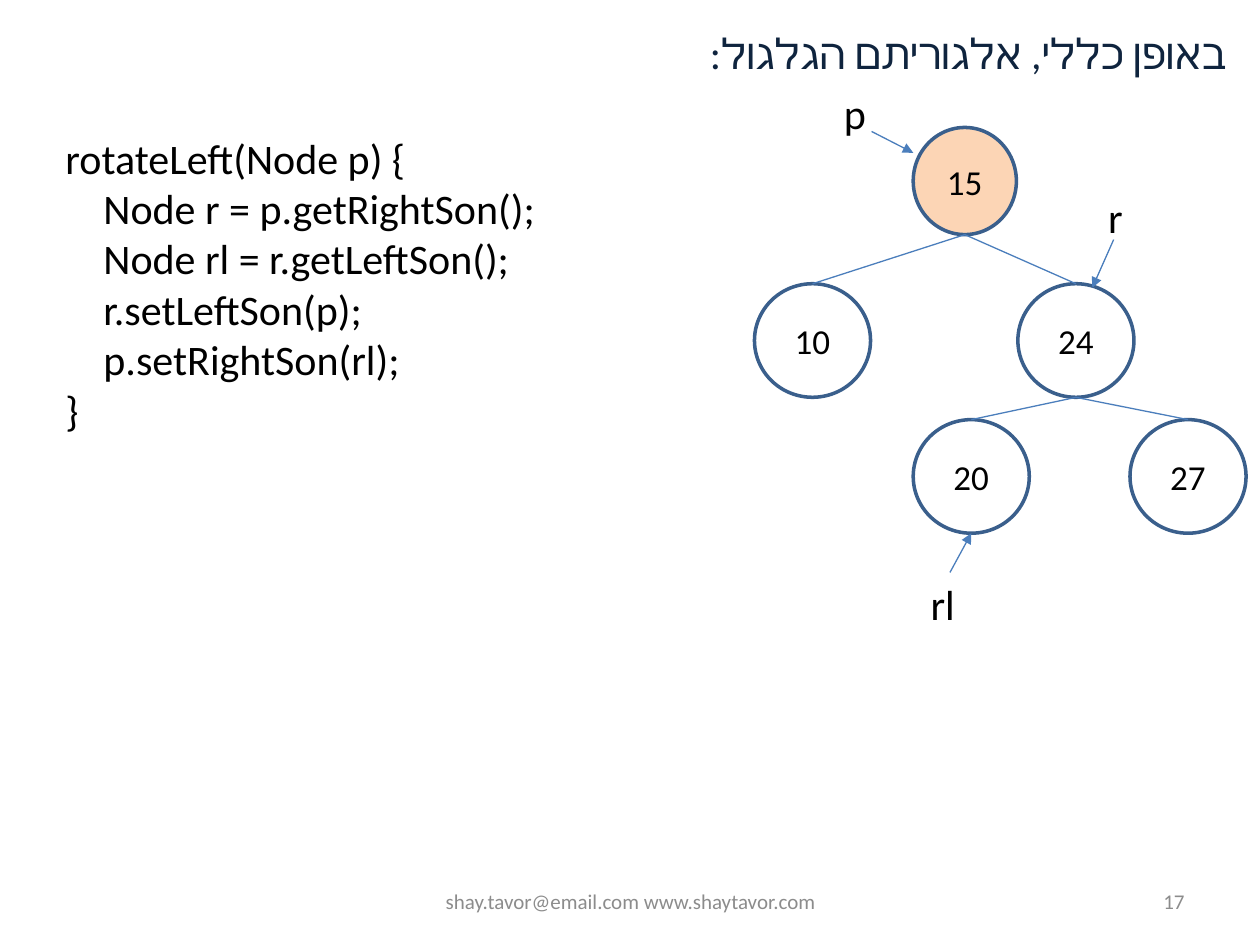
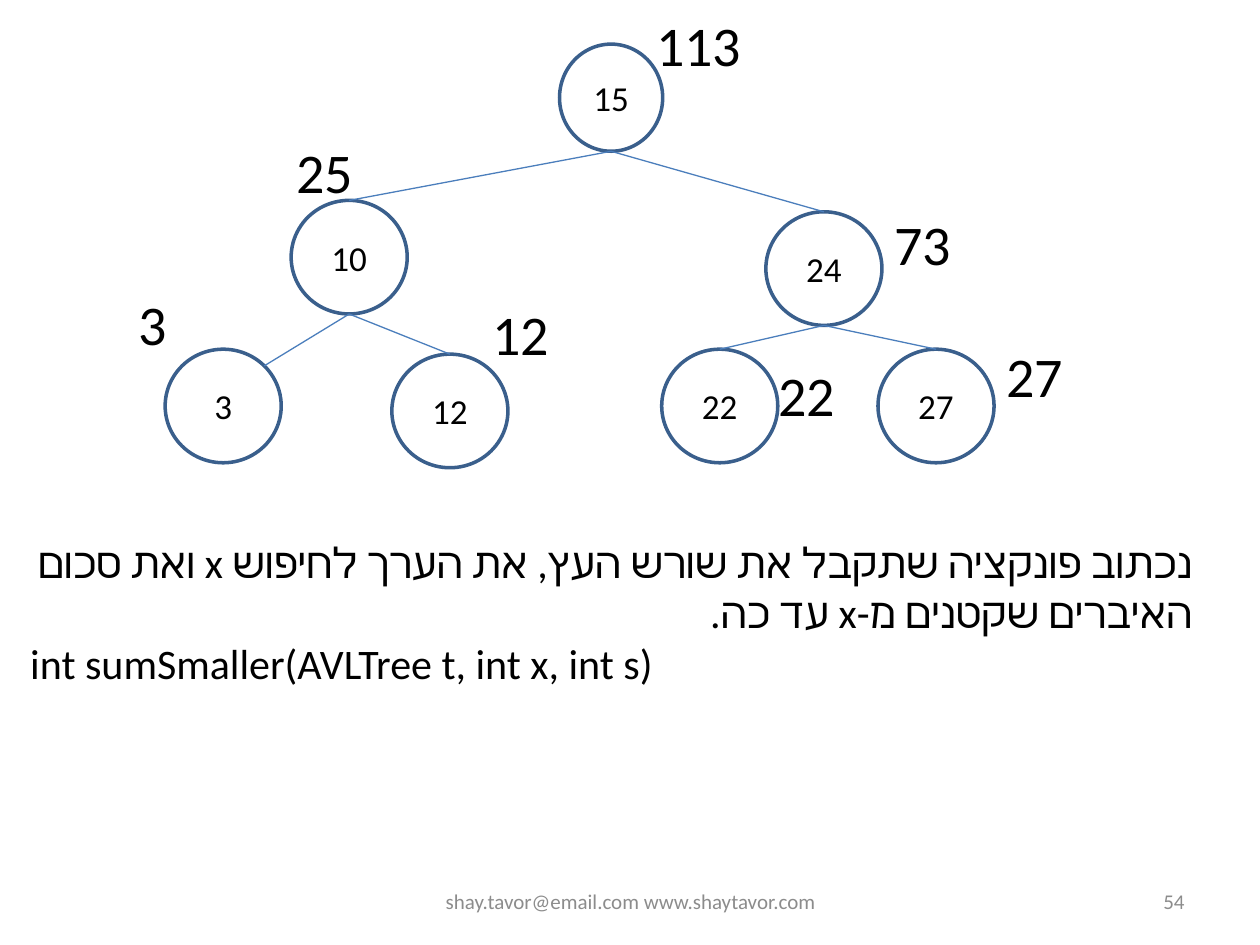
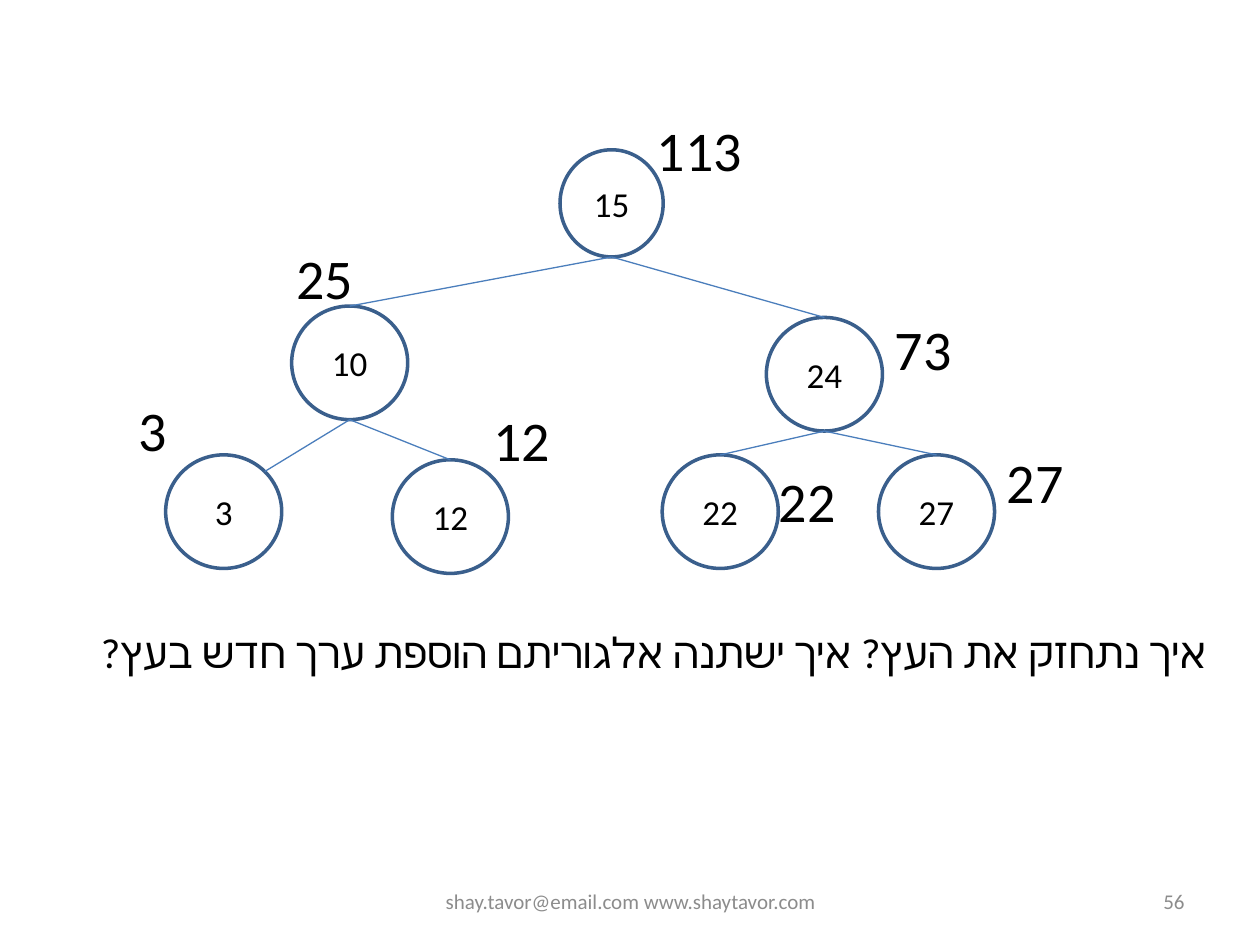
from collections import namedtuple
from math import cos, radians, sin

from lxml.etree import SubElement
from pptx import Presentation
from pptx.dml.color import RGBColor
from pptx.enum.shapes import MSO_CONNECTOR as CONNECTOR, MSO_SHAPE as SHAPE
from pptx.enum.text import MSO_ANCHOR as ANCHOR, MSO_AUTO_SIZE as FIT, PP_ALIGN as ALIGN
from pptx.oxml.ns import qn
from pptx.util import Cm, Pt

BLACK = RGBColor(0x00, 0x00, 0x00)
WHITE = RGBColor(0xFF, 0xFF, 0xFF)
NAVY = RGBColor(0x0F, 0x24, 0x3E)
GRAY = RGBColor(0x8C, 0x8C, 0x8C)
PEACH = RGBColor(0xFC, 0xD5, 0xB5)
RIM_BLUE = RGBColor(0x3A, 0x5F, 0x8C)
EDGE_BLUE = RGBColor(0x4B, 0x7E, 0xBC)

FONT = "Calibri"
BODY = {"size": Pt(24), "color": BLACK}
TITLE = {"size": Pt(24), "color": NAVY}
NODE_TEXT = {"size": Pt(20), "color": BLACK}
SUM_TEXT = {"size": Pt(32), "color": BLACK}
FOOTER = {"size": Pt(12), "color": GRAY}

ROOT_SIZE = (2.08, 2.16)
NODE_SIZE = (2.34, 2.29)
TOP, BOTTOM, TOP_RIGHT = -90, 90, -45
LINE_HEIGHT = 1.27
SUM_HEIGHT = 1.63

Node = namedtuple("Node", "value left top size fill", defaults=(NODE_SIZE, None))
Edge = namedtuple("Edge", "parent child angle", defaults=(TOP,))
Label = namedtuple("Label", "text left top width")
Pointer = namedtuple("Pointer", "label start end")

ROTATION_NODES = [
    Node("15", 3.2, 0, ROOT_SIZE, PEACH),
    Node("24", 5.31, 3.15),
    Node("10", 0, 3.15),
    Node("27", 7.57, 5.89),
    Node("20", 3.2, 5.89),
]
ROTATION_EDGES = [Edge("15", "24"), Edge("15", "10"), Edge("24", "27"), Edge("24", "20")]
ROTATION_POINTERS = [
    Pointer(Label("p", 1.55, -0.94, 1.27), (2.36, 0.08), (3.2, 0.51)),
    Pointer(Label("r", 6.88, 1.17, 1.27), (7.24, 2.26), (6.81, 3.23)),
    Pointer(Label("rl", 3.3, 8.97, 1.27), (3.94, 8.97), (4.37, 8.18)),
]
SUM_NODES = [
    Node("15", 8.74, 0.81, ROOT_SIZE, WHITE),
    Node("24", 12.9, 4.19, NODE_SIZE, WHITE),
    Node("10", 3.33, 3.96),
    Node("27", 15.16, 6.96),
    Node("22", 10.8, 6.96),
    Node("12", 5.36, 7.06),
    Node("3", 0.79, 6.96),
]
SUM_EDGES = [
    Edge("15", "24"), Edge("15", "10"), Edge("24", "27"),
    Edge("24", "22"), Edge("10", "3", TOP_RIGHT), Edge("10", "12"),
]
SUM_LABELS = [
    Label("3", 0, 5.64, 1.7),
    Label("25", 3.18, 2.57, 2.31),
    Label("12", 7.14, 5.84, 2.18),
    Label("113", 10.44, 0, 2.46),
    Label("73", 15.24, 4.01, 2.03),
    Label("22", 12.9, 7.06, 2.11),
    Label("27", 17.5, 6.68, 2.03),
]
ROTATE_CODE = [
    "rotateLeft(Node p) {",
    "    Node r = p.getRightSon();",
    "    Node rl = r.getLeftSon();",
    "    r.setLeftSon(p);",
    "    p.setRightSon(rl);",
    "}",
]


def is_hebrew(text):
    return any("א" <= letter <= "ת" for letter in text)


def write_line(para, text, style, align=ALIGN.LEFT):
    """Write one formatted line; Hebrew runs from right to left."""
    span = para.add_run()
    span.text = text
    font = span.font
    for name, value in {"name": FONT, "size": style["size"]}.items():
        setattr(font, name, value)
    font.color.rgb = style["color"]
    para.alignment = align
    if is_hebrew(text):
        para.alignment = ALIGN.RIGHT
        para._p.get_or_add_pPr().set("rtl", "1")
        SubElement(span._r.get_or_add_rPr(), qn("a:cs"), typeface=FONT)


def add_text(page, box, lines, style, align=ALIGN.LEFT, anchor=ANCHOR.TOP, fit=FIT.SHAPE_TO_FIT_TEXT):
    frame = page.shapes.add_textbox(*map(Cm, box)).text_frame
    for name, value in {"word_wrap": True, "auto_size": fit, "vertical_anchor": anchor}.items():
        setattr(frame, name, value)
    for index, line in enumerate(lines):
        para = frame.add_paragraph() if index else frame.paragraphs[0]
        write_line(para, line, style, align)


def add_line(page, start, end, arrow=False):
    line = page.shapes.add_connector(CONNECTOR.STRAIGHT, *start, *end)
    line.line.color.rgb = EDGE_BLUE
    line.line.width = Pt(0.75)
    if arrow:
        SubElement(line.line._get_or_add_ln(), qn("a:tailEnd"), type="triangle")
    SubElement(line._element.spPr, qn("a:effectLst"))


def add_node(page, origin, node):
    left, top = origin
    box = (left + node.left, top + node.top, *node.size)
    oval = page.shapes.add_shape(SHAPE.OVAL, *map(Cm, box))
    oval.shadow.inherit = False
    if node.fill is None:
        oval.fill.background()
    else:
        oval.fill.solid()
        oval.fill.fore_color.rgb = node.fill
    oval.line.color.rgb = RIM_BLUE
    oval.line.width = Pt(2)
    oval.text_frame.vertical_anchor = ANCHOR.MIDDLE
    write_line(oval.text_frame.paragraphs[0], node.value, NODE_TEXT, ALIGN.CENTER)
    return oval


def rim_point(oval, angle):
    """Point on the oval's outline, with the angle clockwise from the right."""
    turn = radians(angle)
    return (round(oval.left + oval.width / 2 * (1 + cos(turn))),
            round(oval.top + oval.height / 2 * (1 + sin(turn))))


def add_tree(page, origin, nodes, edges):
    ovals = {node.value: add_node(page, origin, node) for node in nodes}
    for edge in edges:
        add_line(page, rim_point(ovals[edge.parent], BOTTOM), rim_point(ovals[edge.child], edge.angle))


def add_label(page, origin, label, height, style):
    left, top = origin
    add_text(page, (left + label.left, top + label.top, label.width, height), [label.text], style)


def add_pointers(page, origin, pointers):
    for pointer in pointers:
        add_label(page, origin, pointer.label, LINE_HEIGHT, BODY)
        start, end = ([Cm(base + shift) for base, shift in zip(origin, point)]
                      for point in (pointer.start, pointer.end))
        add_line(page, start, end, arrow=True)


def add_page(deck, number):
    """Add a blank page with the shared footer and page number."""
    page = deck.slides.add_slide(deck.slide_layouts[6])
    footers = [
        (8.69, 8.05, "shay.tavor@email.com www.shaytavor.com", ALIGN.CENTER),
        (18.21, 5.92, str(number), ALIGN.RIGHT),
    ]
    for left, width, text, align in footers:
        add_text(page, (left, 17.65, width, 1.02), [text], FOOTER, align, ANCHOR.MIDDLE, FIT.NONE)
    return page


def add_rotation_page(deck, number):
    page = add_page(deck, number)
    origin = (15.21, 2.57)
    add_text(page, (2.11, 0.43, 22.86, LINE_HEIGHT), ["באופן כללי, אלגוריתם הגלגול:"], TITLE)
    add_text(page, (1.07, 2.54, 14.4, 6.4), ROTATE_CODE, BODY)
    add_tree(page, origin, ROTATION_NODES, ROTATION_EDGES)
    add_pointers(page, origin, ROTATION_POINTERS)


def add_sum_page(deck, number, origin, text_box, lines):
    """Add a page with the tree of subtree sums above a text."""
    page = add_page(deck, number)
    add_tree(page, origin, SUM_NODES, SUM_EDGES)
    for label in SUM_LABELS:
        add_label(page, origin, label, SUM_HEIGHT, SUM_TEXT)
    add_text(page, text_box, lines, BODY)


def main():
    deck = Presentation()
    deck.slide_width, deck.slide_height = Cm(25.4), Cm(19.05)
    add_rotation_page(deck, 17)
    add_sum_page(deck, 54, (2.54, 0.08), (0.36, 10.69, 23.93, 3.33), [
        "נכתוב פונקציה שתקבל את שורש העץ, את הערך לחיפוש x ואת סכום האיברים שקטנים מ-x עד כה.",
        "int sumSmaller(AVLTree t, int x, int s)",
    ])
    add_sum_page(deck, 56, (2.55, 2.21), (0.64, 12.5, 23.93, LINE_HEIGHT), [
        "איך נתחזק את העץ? איך ישתנה אלגוריתם הוספת ערך חדש בעץ?",
    ])
    deck.save("out.pptx")


if __name__ == "__main__":
    main()
